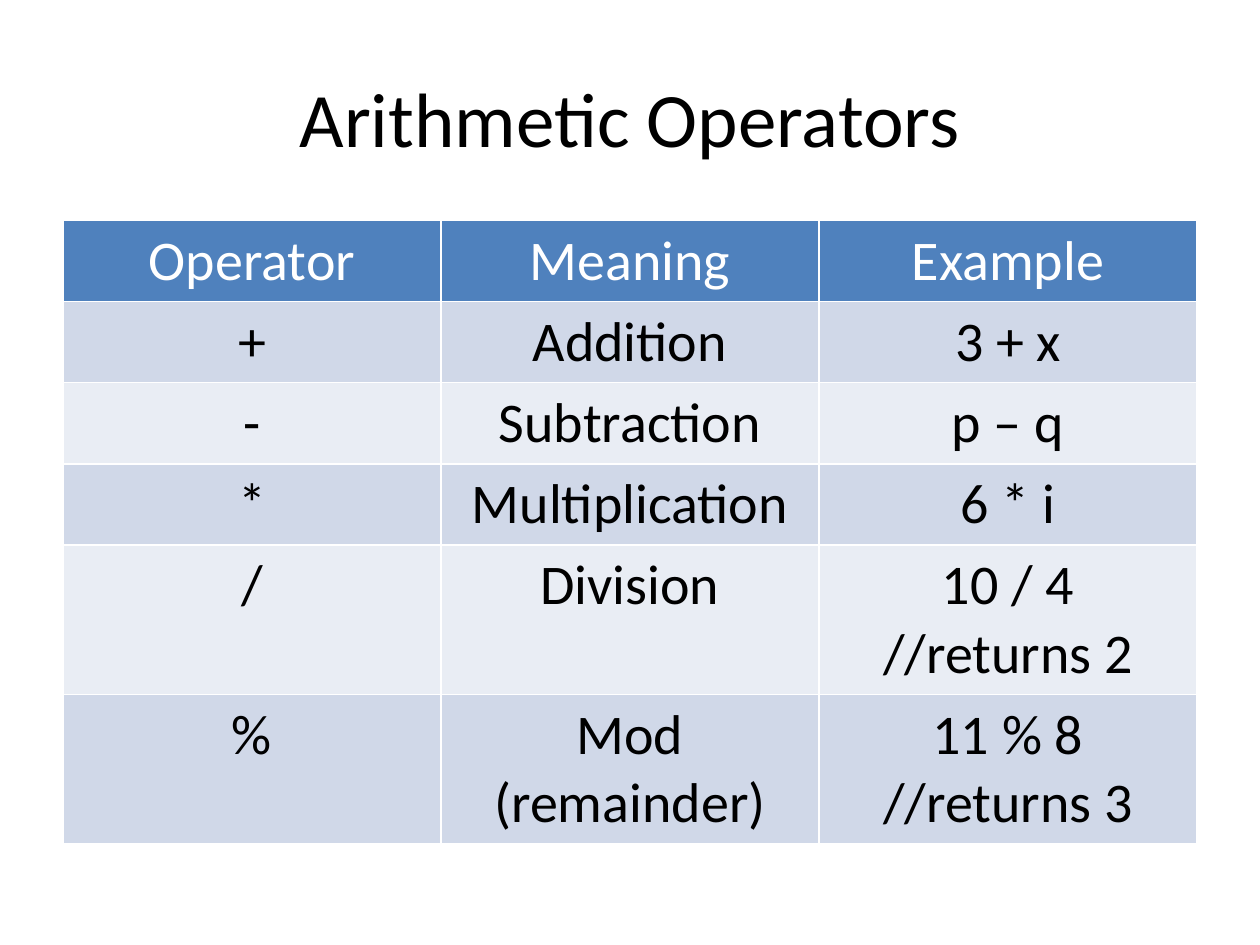
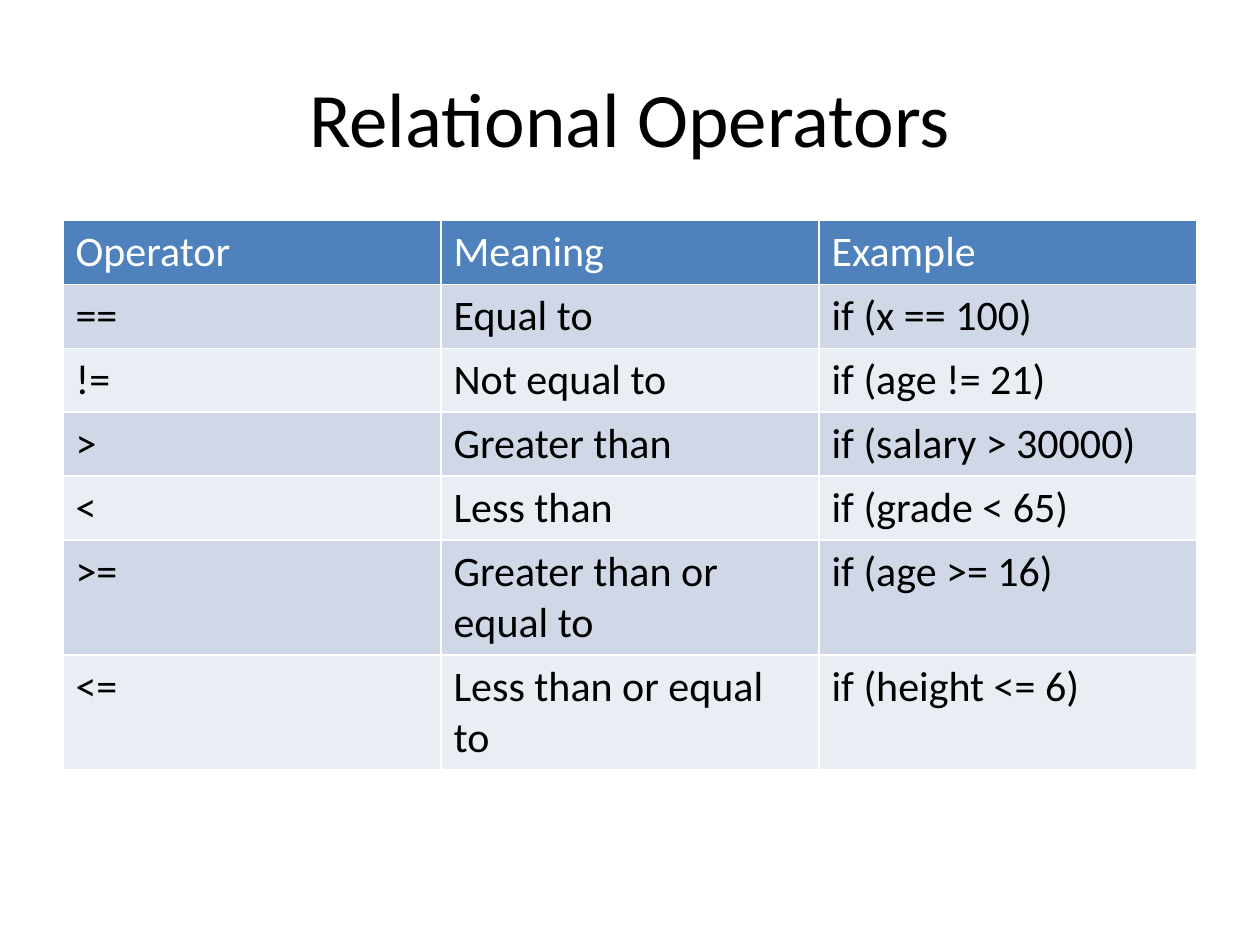
"""Build two slides that tabulate arithmetic and relational operators."""
from dataclasses import dataclass

from pptx import Presentation
from pptx.dml.color import RGBColor
from pptx.enum.text import MSO_ANCHOR, PP_ALIGN
from pptx.util import Inches, Pt


@dataclass(frozen=True)
class Theme:
    font: str = "Calibri"
    title_size: int = 44
    large_size: int = 32
    medium_size: int = 24
    ink: str = "000000"
    paper: str = "FFFFFF"
    header: str = "4F81BD"
    bands: tuple[str, str] = ("D0D8E8", "E9EDF4")


@dataclass(frozen=True)
class OperatorSlide:
    title: str
    size: int
    align: PP_ALIGN
    operators: tuple[tuple[str, str, str], ...]


THEME = Theme()
HEADINGS = ("Operator", "Meaning", "Example")
LEFT, WIDTH = Inches(0.5), Inches(9)
TITLE_TOP, TITLE_HEIGHT = Inches(0.3), Inches(1.25)
TABLE_TOP, ROW_HEIGHT = Inches(1.75), Inches(0.41)

SLIDES = (
    OperatorSlide("Arithmetic Operators", THEME.large_size, PP_ALIGN.CENTER, (
        ("+", "Addition", "3 + x"),
        ("-", "Subtraction", "p – q"),
        ("*", "Multiplication", "6 * i"),
        ("/", "Division", "10 / 4\n//returns 2"),
        ("%", "Mod (remainder)", "11 % 8\n//returns 3"),
    )),
    OperatorSlide("Relational Operators", THEME.medium_size, PP_ALIGN.LEFT, (
        ("==", "Equal to", "if (x == 100)"),
        ("!=", "Not equal to", "if (age != 21)"),
        (">", "Greater than", "if (salary > 30000)"),
        ("<", "Less than", "if (grade < 65)"),
        (">=", "Greater than or equal to", "if (age >= 16)"),
        ("<=", "Less than or equal to", "if (height <= 6)"),
    )),
)


def write(frame, text: str, size: int, color: str, align: PP_ALIGN) -> None:
    paragraph = frame.paragraphs[0]
    paragraph.alignment = align
    for number, line in enumerate(text.split("\n")):
        if number:
            paragraph.add_line_break()
        run = paragraph.add_run()
        run.text = line
        run.font.name = THEME.font
        run.font.size = Pt(size)
        run.font.bold = False
        run.font.color.rgb = RGBColor.from_string(color)


def add_title(slide, text: str) -> None:
    title = slide.shapes.title
    title.left, title.top = LEFT, TITLE_TOP
    title.width, title.height = WIDTH, TITLE_HEIGHT
    title.text_frame.vertical_anchor = MSO_ANCHOR.MIDDLE
    write(title.text_frame, text, THEME.title_size, THEME.ink, PP_ALIGN.CENTER)


def add_operator_table(slide, content: OperatorSlide) -> None:
    rows = (HEADINGS, *content.operators)
    table = slide.shapes.add_table(
        len(rows), len(HEADINGS), LEFT, TABLE_TOP, WIDTH, ROW_HEIGHT * len(rows)
    ).table
    for row_number, row in enumerate(rows):
        is_header = row_number == 0
        fill = THEME.header if is_header else THEME.bands[(row_number - 1) % 2]
        color = THEME.paper if is_header else THEME.ink
        for column_number, text in enumerate(row):
            cell = table.cell(row_number, column_number)
            cell.fill.solid()
            cell.fill.fore_color.rgb = RGBColor.from_string(fill)
            write(cell.text_frame, text, content.size, color, content.align)


def main() -> None:
    deck = Presentation()
    deck.slide_width, deck.slide_height = Inches(10), Inches(7.5)
    title_only = deck.slide_layouts.get_by_name("Title Only")
    for content in SLIDES:
        slide = deck.slides.add_slide(title_only)
        add_title(slide, content.title)
        add_operator_table(slide, content)
    deck.save("out.pptx")


if __name__ == "__main__":
    main()
